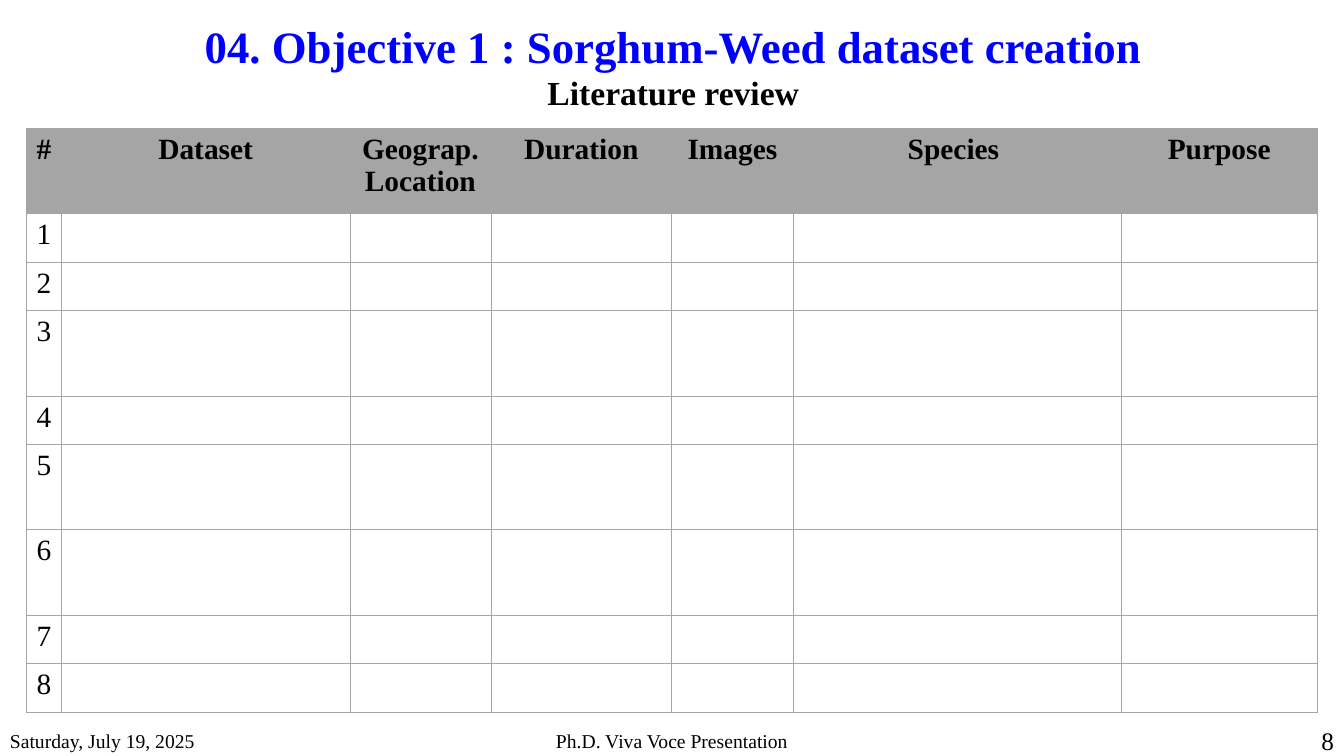
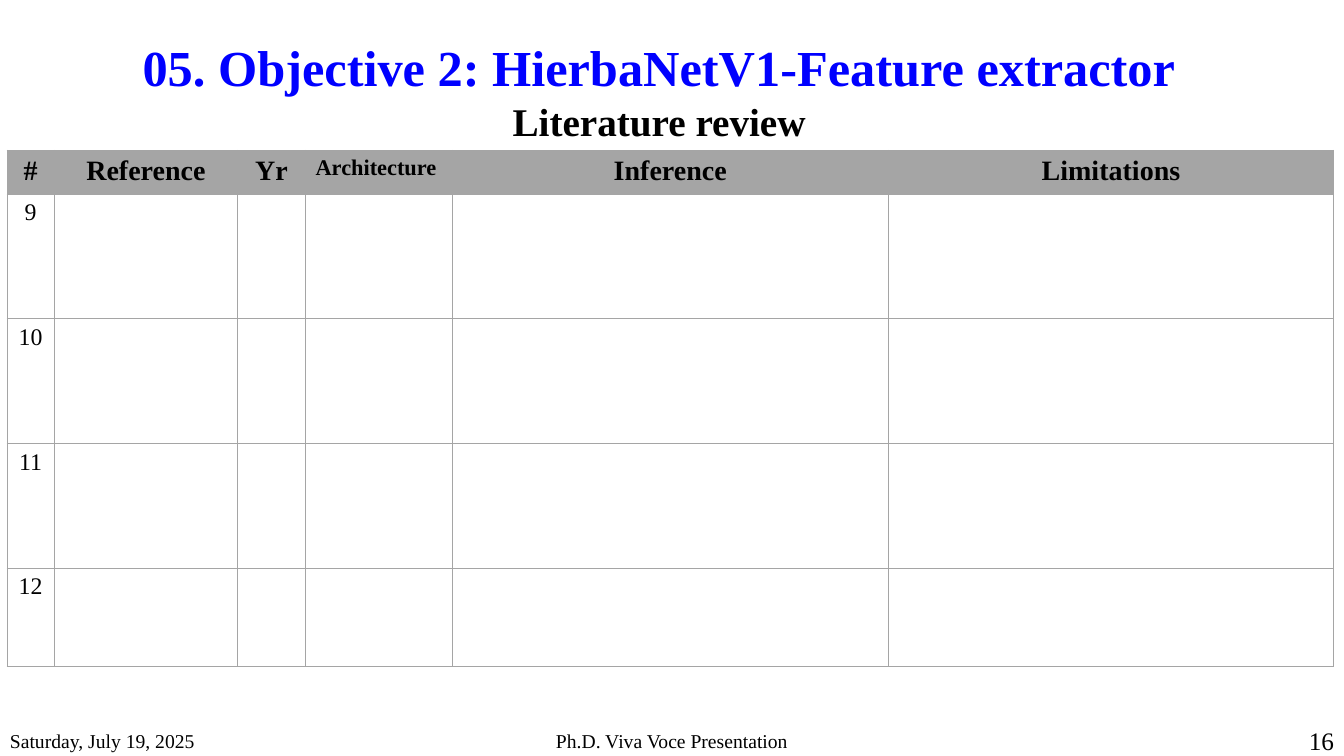
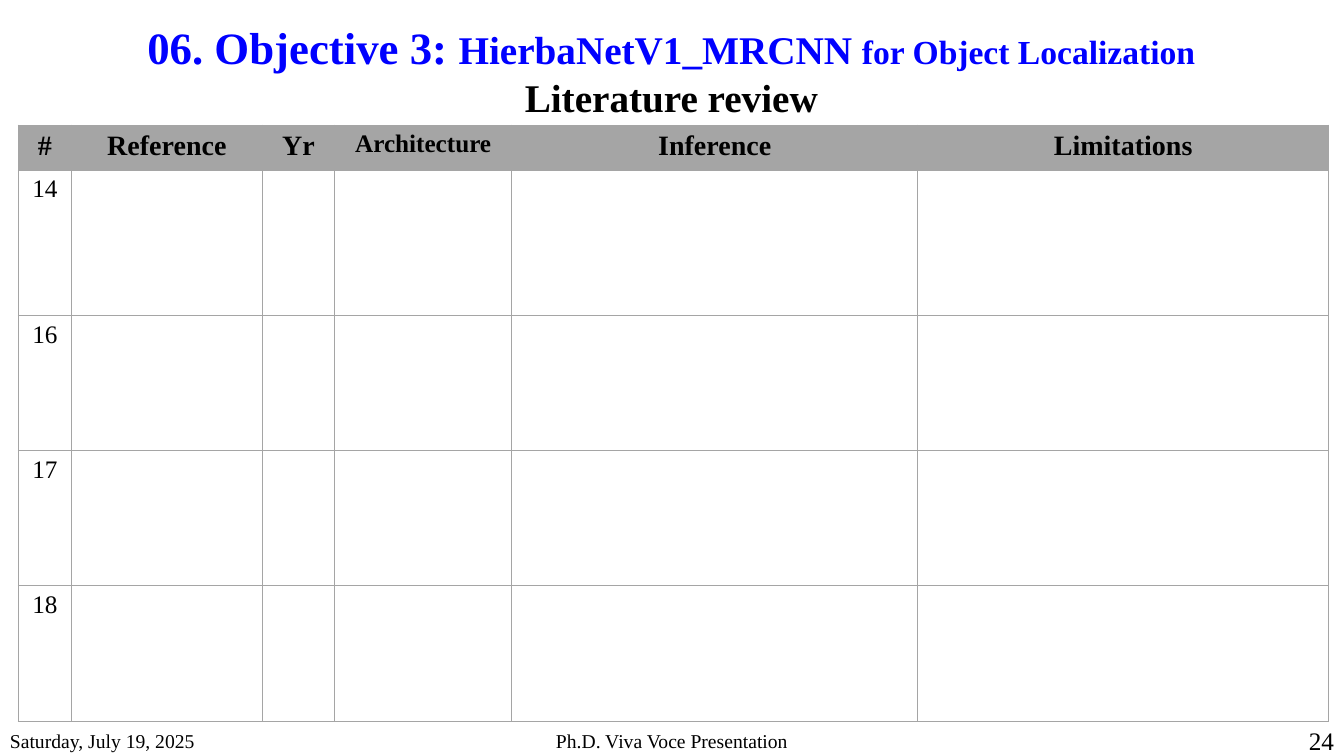
"""Build three literature review slides with titles, tables and footers."""
from dataclasses import dataclass

from lxml import etree
from pptx import Presentation
from pptx.dml.color import RGBColor
from pptx.enum.text import MSO_ANCHOR, PP_ALIGN
from pptx.oxml.ns import qn
from pptx.slide import Slide
from pptx.table import _Cell
from pptx.text.text import TextFrame, _Paragraph
from pptx.util import Pt

LEFT, CENTER, RIGHT = PP_ALIGN.LEFT, PP_ALIGN.CENTER, PP_ALIGN.RIGHT
MIDDLE = MSO_ANCHOR.MIDDLE

FONT = "Times New Roman"
COLORS = {"title": "0000FF", "text": "000000", "grid": "A5A5A5", "paper": "FFFFFF"}
SLIDE_WIDTH, SLIDE_HEIGHT = 960, 540
TITLE_WIDTH = 911.5
FOOTER_TOP, FOOTER_HEIGHT = 514.8, 28.8
GRID_WEIGHT = 0.5
BORDER_TAGS = ("a:lnL", "a:lnR", "a:lnT", "a:lnB")


@dataclass(frozen=True)
class Words:
    """Text in one size."""
    text: str
    size: float


@dataclass(frozen=True)
class Box:
    """Position and size in points."""
    left: float
    top: float
    width: float
    height: float


@dataclass(frozen=True)
class FooterPart:
    """One part of the footer line."""
    text: str
    left: float
    width: float
    align: PP_ALIGN
    size: float = 14


@dataclass(frozen=True)
class Review:
    """Content of one literature review slide."""
    page: int
    title: tuple[Words, ...]
    subtitle_size: float
    title_box: Box
    table_left: float
    table_top: float
    headings: tuple[Words, ...]
    column_widths: tuple[float, ...]
    header_height: float
    entries: tuple[int, ...]
    entry_heights: tuple[float, ...]
    entry_size: float


def headings(size: float, *labels: str) -> tuple[Words, ...]:
    """Give several headings the same size."""
    return tuple(Words(label, size) for label in labels)


def reference_headings(architecture: Words) -> tuple[Words, ...]:
    """Return the headings of a table of references."""
    return (*headings(20, "#", "Reference", "Yr"), architecture,
            *headings(20, "Inference", "Limitations"))


SHORT, TALL = 34.4, 61.3
REVIEWS = (
    Review(
        8, (Words("04. Objective 1 : Sorghum-Weed dataset creation", 32),), 24,
        Box(25.2, 8.6, TITLE_WIDTH, 76.3), 18.7, 91.4,
        headings(21, "#", "Dataset", "Geograp. Location", "Duration",
                 "Images", "Species ", "Purpose"),
        (25.2, 206, 100.8, 129, 87, 234, 140.4), TALL,
        tuple(range(1, 9)),
        (SHORT, SHORT, TALL, SHORT, TALL, TALL, SHORT, SHORT), 21),
    Review(
        16, (Words("05. Objective 2: HierbaNetV1-Feature extractor", 36),), 28,
        Box(15.1, 24.5, TITLE_WIDTH, 80), 5, 107.3,
        reference_headings(Words("Architecture ", 16)),
        (33.8, 131, 48.3, 105.1, 311.4, 318.2), 31.2,
        (9, 10, 11, 12), (89.2, 89.2, 89.2, 70), 17),
    Review(
        24, (Words("06. Objective 3: ", 32), Words("HierbaNetV1_MRCNN ", 28),
             Words("for Object Localization", 24)), 28,
        Box(23.8, 10, TITLE_WIDTH, 80), 13, 89.3,
        reference_headings(Words("Architecture", 18)),
        (38.2, 136.1, 51.8, 126.5, 290, 293.5), 32.2,
        (14, 16, 17, 18), (104, 96.5, 96.5, 96.5), 18),
)


def format_runs(paragraph: _Paragraph, size: float, color: str, bold: bool) -> None:
    """Set the font of every run in a paragraph."""
    for run in paragraph.runs:
        run.font.name = FONT
        run.font.size = Pt(size)
        run.font.bold = bold
        run.font.color.rgb = RGBColor.from_string(COLORS[color])


def add_text_frame(slide: Slide, box: Box) -> TextFrame:
    """Add a wrapping text box with text in its vertical middle."""
    frame = slide.shapes.add_textbox(
        Pt(box.left), Pt(box.top), Pt(box.width), Pt(box.height)).text_frame
    frame.word_wrap = True
    frame.vertical_anchor = MIDDLE
    return frame


def add_title(slide: Slide, review: Review) -> None:
    """Add the objective and its subtitle."""
    frame = add_text_frame(slide, review.title_box)
    objective = frame.paragraphs[0]
    objective.alignment = CENTER
    for words in review.title:
        run = objective.add_run()
        run.text = words.text
    format_runs(objective, review.title[0].size, "title", True)
    for run, words in zip(objective.runs, review.title):
        run.font.size = Pt(words.size)
    subtitle = frame.add_paragraph()
    subtitle.text = "Literature review"
    subtitle.alignment = CENTER
    format_runs(subtitle, review.subtitle_size, "text", True)


def add_footer(slide: Slide, page: int) -> None:
    """Add the date, the occasion and the page number."""
    parts = (
        FooterPart("Saturday, July 19, 2025", 0, 262, LEFT),
        FooterPart("Ph.D. Viva Voce Presentation", 318, 324, CENTER),
        FooterPart(str(page), 744, 216, RIGHT, 18),
    )
    for part in parts:
        frame = add_text_frame(
            slide, Box(part.left, FOOTER_TOP, part.width, FOOTER_HEIGHT))
        frame.text = part.text
        frame.paragraphs[0].alignment = part.align
        format_runs(frame.paragraphs[0], part.size, "text", False)


def style_cell(cell: _Cell, fill: str) -> None:
    """Draw the grid lines and the fill of a cell."""
    properties = cell._tc.get_or_add_tcPr()
    for tag in BORDER_TAGS:
        border = etree.SubElement(properties, qn(tag), w=str(int(Pt(GRID_WEIGHT))))
        line_fill = etree.SubElement(border, qn("a:solidFill"))
        etree.SubElement(line_fill, qn("a:srgbClr"), val=COLORS["grid"])
    cell.fill.solid()
    cell.fill.fore_color.rgb = RGBColor.from_string(COLORS[fill])


def write_cell(cell: _Cell, words: Words, bold: bool) -> None:
    """Write centred text in a cell."""
    cell.text_frame.text = words.text
    paragraph = cell.text_frame.paragraphs[0]
    paragraph.alignment = CENTER
    format_runs(paragraph, words.size, "text", bold)


def add_review_table(slide: Slide, review: Review) -> None:
    """Add the table with its headings and numbered entries."""
    row_heights = (review.header_height, *review.entry_heights)
    table = slide.shapes.add_table(
        len(row_heights), len(review.column_widths),
        Pt(review.table_left), Pt(review.table_top),
        Pt(sum(review.column_widths)), Pt(sum(row_heights))).table
    table.horz_banding = False
    for column, width in zip(table.columns, review.column_widths):
        column.width = Pt(width)
    for index, (row, height) in enumerate(zip(table.rows, row_heights)):
        row.height = Pt(height)
        for cell in row.cells:
            style_cell(cell, "paper" if index else "grid")
    for column, heading in enumerate(review.headings):
        write_cell(table.cell(0, column), heading, True)
    for row, entry in enumerate(review.entries, start=1):
        write_cell(table.cell(row, 0), Words(str(entry), review.entry_size), False)


def main() -> None:
    """Build and save the presentation."""
    presentation = Presentation()
    presentation.slide_width = Pt(SLIDE_WIDTH)
    presentation.slide_height = Pt(SLIDE_HEIGHT)
    blank = presentation.slide_layouts[6]
    for review in REVIEWS:
        slide = presentation.slides.add_slide(blank)
        add_title(slide, review)
        add_footer(slide, review.page)
        add_review_table(slide, review)
    presentation.save("out.pptx")


if __name__ == "__main__":
    main()
